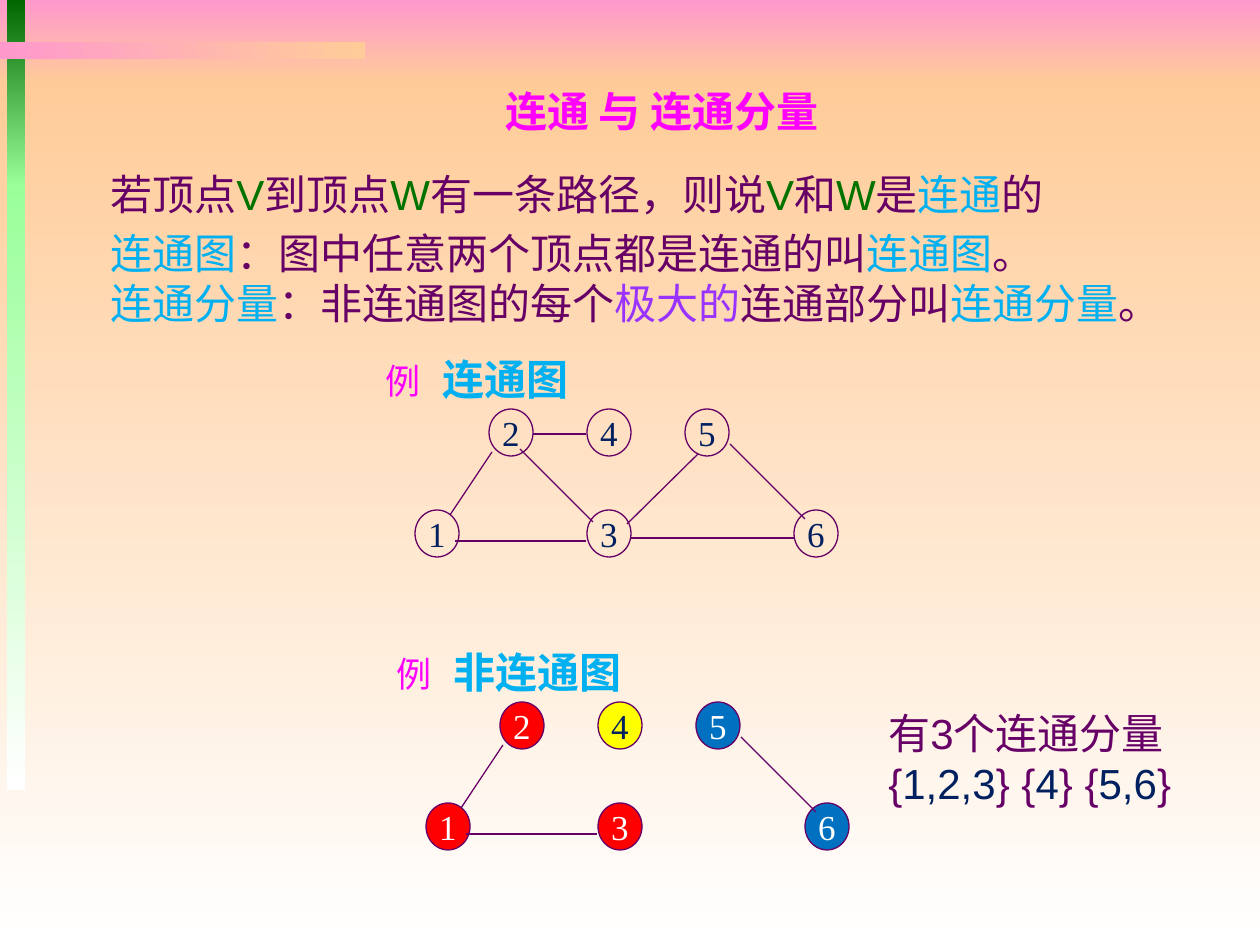
import pptx
import pptx.dml.color
import pptx.enum.dml
import pptx.enum.shapes
import pptx.enum.text
import pptx.util
import pptx.oxml.ns
import lxml.etree

RGB = pptx.dml.color.RGBColor
PLUM = RGB(0x66, 0x00, 0x66)
GREEN = RGB(0x00, 0x72, 0x00)
SKY = RGB(0x00, 0xB0, 0xF0)
VIOLET = RGB(0x99, 0x33, 0xFF)
MAGENTA = RGB(0xFF, 0x00, 0xFF)
NAVY = RGB(0x00, 0x20, 0x60)
RED = RGB(0xFF, 0x00, 0x00)
YELLOW = RGB(0xFF, 0xFF, 0x00)
BLUE = RGB(0x00, 0x70, 0xC0)
WHITE = RGB(0xFF, 0xFF, 0xFF)
PINK = RGB(0xFF, 0x99, 0xCC)
PEACH = RGB(0xFF, 0xCC, 0x99)
DARK_GREEN = RGB(0x00, 0x66, 0x00)
LIGHT_GREEN = RGB(0x99, 0xFF, 0x99)

SERIF = "Times New Roman"
SANS = "Arial"
SHAPE = pptx.enum.shapes.MSO_SHAPE
ALIGN = pptx.enum.text.PP_ALIGN
ANCHOR = pptx.enum.text.MSO_ANCHOR
PX_PER_INCH = 126

# Graph layout, in px
NODE_WIDTH, NODE_HEIGHT = 44, 47
NODES = {2: (489, 409), 4: (587, 409), 5: (685, 409),
         1: (415, 510), 3: (587, 510), 6: (794, 510)}
EDGES = {(2, 4): (533, 434, 586, 434), (2, 3): (520, 449, 593, 522),
         (3, 6): (795, 538, 630, 538), (3, 5): (627, 524, 698, 454),
         (5, 6): (730, 444, 805, 519), (1, 3): (586, 541, 455, 541),
         (1, 2): (450, 515, 492, 452)}


def px(*lengths):
    return [pptx.util.Emu(round(n * 914400 / PX_PER_INCH)) for n in lengths]


def write(frame, paragraphs, size=24, font=SANS, color=PLUM, bold=False,
          align=ALIGN.LEFT, anchor=ANCHOR.TOP, wrap=False, before=0):
    """Each paragraph is a string or a list of (text, color) runs; \v breaks a line."""
    frame.word_wrap = wrap
    frame.vertical_anchor = anchor
    for index, runs in enumerate(paragraphs):
        paragraph = frame.add_paragraph() if index else frame.paragraphs[0]
        paragraph.alignment = align
        paragraph.space_before = pptx.util.Pt(before)
        for text, run_color in [(runs, color)] if isinstance(runs, str) else runs:
            if text == "\v":
                paragraph.add_line_break()
                continue
            run = paragraph.add_run()
            run.text = text
            run.font.size = pptx.util.Pt(size)
            run.font.name = font
            run.font.bold = bold
            run.font.color.rgb = run_color


def add_text(slide, box, paragraphs, **text_format):
    write(slide.shapes.add_textbox(*px(*box)).text_frame, paragraphs, **text_format)


def add_gradient_bar(slide, box, start, end, angle=270):
    bar = slide.shapes.add_shape(SHAPE.RECTANGLE, *px(*box))
    bar.shadow.inherit = False
    bar.line.fill.background()
    bar.fill.gradient()
    bar.fill.gradient_angle = angle
    for stop, position, color in zip(bar.fill.gradient_stops, (0, 1), (start, end)):
        stop.position = position
        stop.color.rgb = color


def add_node(slide, number, left, top, fill):
    node = slide.shapes.add_shape(SHAPE.OVAL, *px(left, top, NODE_WIDTH, NODE_HEIGHT))
    node.shadow.inherit = False
    node.line.color.rgb = PLUM
    node.line.width = pptx.util.Pt(0.75)
    if fill is None:
        node.fill.background()
    else:
        node.fill.solid()
        node.fill.fore_color.rgb = fill
    write(node.text_frame, [str(number)], size=20, font=SERIF,
          color=NAVY if fill in (None, YELLOW) else WHITE,
          align=ALIGN.CENTER, anchor=ANCHOR.MIDDLE)


def add_edge(slide, ends):
    edge = slide.shapes.add_connector(pptx.enum.shapes.MSO_CONNECTOR.STRAIGHT, *px(*ends))
    edge.line.color.rgb = PLUM
    edge.line.width = pptx.util.Pt(0.75)
    properties = edge.element.find(pptx.oxml.ns.qn("p:spPr"))
    lxml.etree.SubElement(properties, pptx.oxml.ns.qn("a:effectLst"))


def add_graph(slide, caption, caption_width, edges, fills, dx=0, dy=0):
    add_text(slide, (430 + dx, 347 + dy, caption_width, 63), [caption],
             font=SERIF, color=SKY, bold=True)
    add_text(slide, (373 + dx, 353 + dy, 60, 54), ["例"], size=20, font=SERIF,
             color=MAGENTA, align=ALIGN.CENTER, anchor=ANCHOR.MIDDLE)
    for number, (left, top) in NODES.items():
        add_node(slide, number, left + dx, top + dy, fills.get(number))
    for edge in edges:
        x1, y1, x2, y2 = EDGES[edge]
        add_edge(slide, (x1 + dx, y1 + dy, x2 + dx, y2 + dy))


def main():
    deck = pptx.Presentation()
    deck.slide_width, deck.slide_height = px(1260, 945)
    slide = deck.slides.add_slide(deck.slide_layouts[6])

    # Background and decorative bars
    add_gradient_bar(slide, (0, 0, 1260, 84), PINK, PEACH)
    add_gradient_bar(slide, (0, 84, 1260, 861), PEACH, WHITE)
    add_gradient_bar(slide, (7, 0, 18, 186), DARK_GREEN, LIGHT_GREEN)
    add_gradient_bar(slide, (7, 184, 18, 606), LIGHT_GREEN, WHITE)
    add_gradient_bar(slide, (0, 42, 365, 17), PINK, PEACH, angle=0)

    # Title and definitions
    add_text(slide, (493, 79, 345, 63), ["连通 与 连通分量"],
             font=SERIF, color=MAGENTA, bold=True)
    add_text(slide, (98, 162, 1105, 184), [
        [("若顶点", PLUM), ("V", GREEN), ("到顶点", PLUM), ("W", GREEN),
         ("有一条路径，则说", PLUM), ("V", GREEN), ("和", PLUM), ("W", GREEN),
         ("是", PLUM), ("连通", SKY), ("的", PLUM)],
        [("连通图", SKY), ("：图中任意两个顶点都是连通的叫", PLUM),
         ("连通图", SKY), ("。", PLUM), ("\v", PLUM),
         ("连通分量", SKY), ("：非连通图的每个", PLUM), ("极大的", VIOLET),
         ("连通部分叫", PLUM), ("连通分量", SKY), ("。", PLUM)],
    ], wrap=True, before=4.8)

    # Connected and disconnected examples
    add_graph(slide, "连通图", 154, EDGES, {})
    add_graph(slide, "非连通图", 198, [(5, 6), (1, 3), (1, 2)],
              {1: RED, 2: RED, 3: RED, 4: YELLOW, 5: BLUE, 6: BLUE}, dx=11, dy=293)

    # Components of the disconnected graph
    add_text(slide, (876, 701, 328, 165), [
        "有3个连通分量",
        [("{", PLUM), ("1,2,3", NAVY), ("} {", PLUM), ("4", NAVY),
         ("} {", PLUM), ("5,6", NAVY), ("}", PLUM)],
    ], wrap=True)

    deck.save("out.pptx")


if __name__ == "__main__":
    main()
